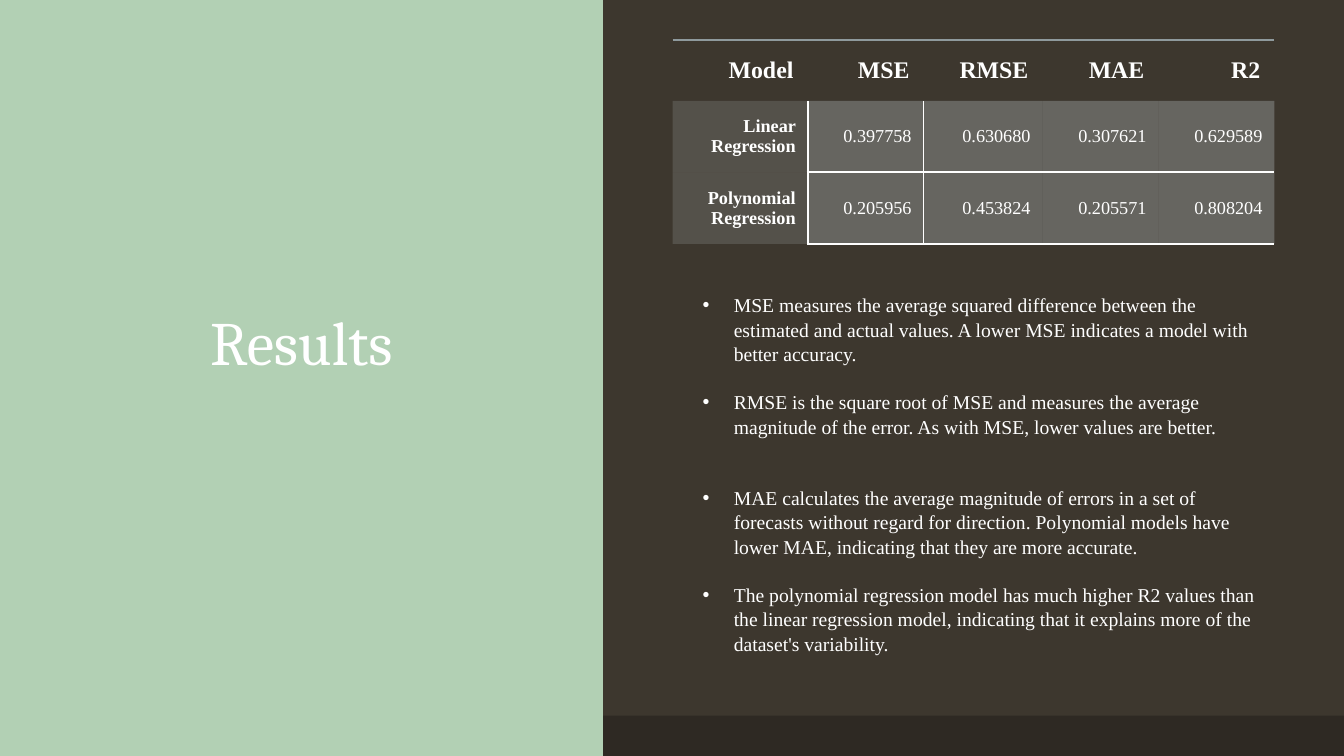
from lxml import etree
from pptx import Presentation
from pptx.dml.color import RGBColor
from pptx.enum.shapes import MSO_SHAPE
from pptx.enum.text import MSO_ANCHOR, PP_ALIGN
from pptx.oxml.ns import qn
from pptx.util import Inches, Pt

RECTANGLE = MSO_SHAPE.RECTANGLE
MIDDLE = MSO_ANCHOR.MIDDLE
CENTER, RIGHT = PP_ALIGN.CENTER, PP_ALIGN.RIGHT

BROWN = RGBColor(0x3D, 0x37, 0x2E)
DARK_BROWN = RGBColor(0x2E, 0x29, 0x23)
GREEN = RGBColor(0xB2, 0xD0, 0xB4)
WHITE = RGBColor(0xFF, 0xFF, 0xFF)
GRAY = RGBColor(0xB4, 0xBC, 0xBE)
RULE_GRAY = RGBColor(0x8F, 0x9A, 0x9D)

TITLE_FONT = "Cambria"
BODY_FONT = "Times New Roman"
PLAIN_TABLE_STYLE = "{2D5ABB26-0587-4C30-8999-92F81FD0307C}"

COLUMN_WIDTHS = [1.34, 1.15, 1.18, 1.15, 1.15]
ROW_HEIGHTS = [0.6, 0.71, 0.71]
SCORES = [
    ["Model", "MSE", "RMSE", "MAE", "R2"],
    ["Linear Regression", "0.397758", "0.630680", "0.307621", "0.629589"],
    ["Polynomial Regression", "0.205956", "0.453824", "0.205571", "0.808204"],
]
NOTES = [
    ("MSE measures the average squared difference between the estimated and "
     "actual values. A lower MSE indicates a model with better accuracy.", 16.8),
    ("RMSE is the square root of MSE and measures the average magnitude of the "
     "error. As with MSE, lower values are better.", 33.6),
    ("MAE calculates the average magnitude of errors in a set of forecasts "
     "without regard for direction. Polynomial models have lower MAE, "
     "indicating that they are more accurate.", 16.8),
    ("The polynomial regression model has much higher R2 values than the linear "
     "regression model, indicating that it explains more of the dataset's "
     "variability.", 0),
]


def add_panel(page, left, top, width, height, color):
    panel = page.shapes.add_shape(
        RECTANGLE, Inches(left), Inches(top), Inches(width), Inches(height))
    panel.shadow.inherit = False
    panel.fill.solid()
    panel.fill.fore_color.rgb = color
    panel.line.fill.background()


def add_span(para, text, size, font, bold=False):
    span = para.add_run()
    span.text = text
    span.font.size = Pt(size)
    span.font.name = font
    span.font.bold = bold
    span.font.color.rgb = WHITE


def add_text_frame(page, left, top, width, height):
    box = page.shapes.add_textbox(
        Inches(left), Inches(top), Inches(width), Inches(height))
    box.text_frame.word_wrap = True
    return box.text_frame


def add_title(page, text):
    frame = add_text_frame(page, 0.68, 0.7, 4.62, 6.1)
    frame.vertical_anchor = MIDDLE
    frame.margin_bottom = Inches(0.7)
    para = frame.paragraphs[0]
    para.alignment = CENTER
    para.line_spacing = 0.9
    add_span(para, text, 44, TITLE_FONT)


def add_bullets(page, notes):
    frame = add_text_frame(page, 6.87, 2.85, 5.77, 3.84)
    for index, (text, gap) in enumerate(notes):
        para = frame.add_paragraph() if index else frame.paragraphs[0]
        para.line_spacing = 1.04
        para.space_after = Pt(gap)
        properties = para._p.get_or_add_pPr()
        properties.set("marL", str(Inches(0.31)))
        properties.set("indent", str(-Inches(0.31)))
        etree.SubElement(properties, qn("a:buFont"), typeface="Arial")
        etree.SubElement(properties, qn("a:buChar"), char="•")
        add_span(para, text, 14, BODY_FONT)


def set_alpha(color_element, percent):
    etree.SubElement(color_element, qn("a:alpha"), val=str(percent * 1000))


def add_border(cell, side, color, percent=100):
    line = etree.SubElement(
        cell._tc.get_or_add_tcPr(), qn("a:ln" + side), w=str(Pt(1.5)))
    fill = etree.SubElement(line, qn("a:solidFill"))
    set_alpha(etree.SubElement(fill, qn("a:srgbClr"), val=str(color)), percent)


def fill_cell(cell, percent):
    cell.fill.solid()
    cell.fill.fore_color.rgb = GRAY
    set_alpha(cell._tc.tcPr.find(qn("a:solidFill"))[0], percent)


def style_cell(cell, row, column):
    if row == 0:
        add_border(cell, "T", RULE_GRAY, 60)
        cell.fill.background()
    elif column == 0:
        add_border(cell, "R", WHITE)
        fill_cell(cell, 20)
    else:
        if column == 1:
            add_border(cell, "L", WHITE)
        if row > 1:
            add_border(cell, "T", WHITE)
        add_border(cell, "B", WHITE)
        fill_cell(cell, 35)


def add_score_table(page, scores):
    table = page.shapes.add_table(
        len(scores), len(scores[0]), Inches(6.67), Inches(0.4),
        Inches(sum(COLUMN_WIDTHS)), Inches(sum(ROW_HEIGHTS))).table
    table._tbl.tblPr.find(qn("a:tableStyleId")).text = PLAIN_TABLE_STYLE
    table.horz_banding = False
    for column, width in zip(table.columns, COLUMN_WIDTHS):
        column.width = Inches(width)
    for row, height in zip(table.rows, ROW_HEIGHTS):
        row.height = Inches(height)
    for row, values in enumerate(scores):
        for column, value in enumerate(values):
            cell = table.cell(row, column)
            inset = Inches(0.12 if row else 0.14)
            cell.margin_left = Inches(0.23)
            cell.margin_right = cell.margin_top = cell.margin_bottom = inset
            cell.vertical_anchor = MIDDLE
            style_cell(cell, row, column)
            para = cell.text_frame.paragraphs[0]
            para.alignment = RIGHT
            add_span(para, value, 13 if row else 17, BODY_FONT,
                     row == 0 or column == 0)


def main():
    deck = Presentation()
    deck.slide_width, deck.slide_height = Inches(13.33), Inches(7.5)
    page = deck.slides.add_slide(deck.slide_layouts[6])
    page.background.fill.solid()
    page.background.fill.fore_color.rgb = BROWN
    add_panel(page, 0, 7.1, 13.33, 0.4, DARK_BROWN)
    add_panel(page, 0, 0, 5.98, 7.5, GREEN)
    add_title(page, "Results")
    add_score_table(page, SCORES)
    add_bullets(page, NOTES)
    deck.save("out.pptx")


if __name__ == "__main__":
    main()
